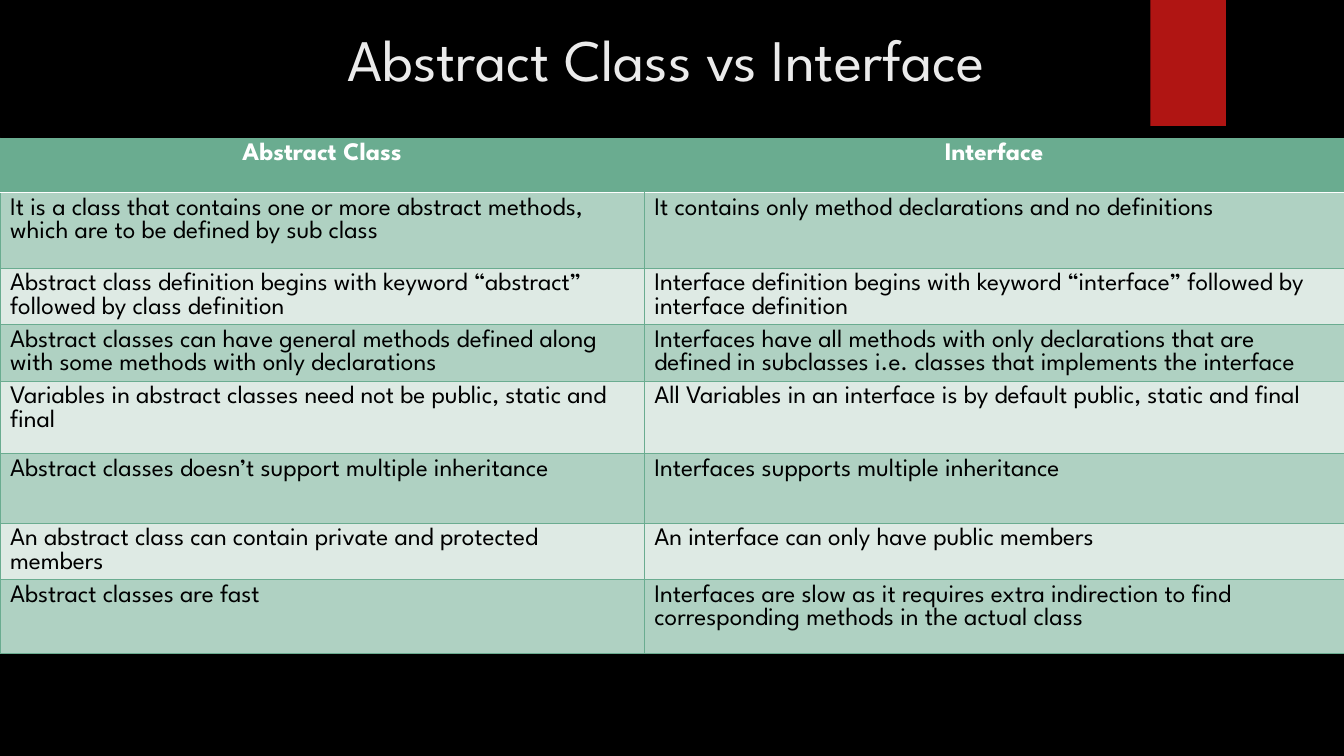
from typing import NamedTuple

from lxml.etree import SubElement
from pptx import Presentation
from pptx.dml.color import RGBColor
from pptx.enum.shapes import MSO_SHAPE
from pptx.enum.text import MSO_ANCHOR, MSO_AUTO_SIZE, PP_ALIGN
from pptx.oxml.ns import qn
from pptx.table import Table, _Cell
from pptx.text.text import _Paragraph
from pptx.util import Inches, Pt

BLACK = RGBColor(0x00, 0x00, 0x00)
WHITE = RGBColor(0xFF, 0xFF, 0xFF)
PALE = RGBColor(0xEB, 0xEB, 0xEB)
RED = RGBColor(0xB0, 0x15, 0x13)
GREEN = RGBColor(0x6A, 0xAC, 0x90)
BANDS = (RGBColor(0xDE, 0xEA, 0xE4), RGBColor(0xAF, 0xD1, 0xC2))
FONT = "League Spartan"


class Row(NamedTuple):
    height: float
    left: str
    right: str


class Edge(NamedTuple):
    side: str
    color: RGBColor | None = GREEN
    width: float = 0.75


ROWS = (
    Row(0.54, "Abstract Class", "Interface"),
    Row(0.75, "It is a class that contains one or more abstract methods, which are to be defined by sub class",
        "It contains only method declarations and no definitions"),
    Row(0.56, "Abstract class definition begins with keyword “abstract” followed by class definition",
        "Interface definition begins with keyword “interface” followed by interface definition"),
    Row(0.56, "Abstract classes can have general methods defined along with some methods with only declarations",
        "Interfaces have all methods with only declarations that are defined in subclasses "
        "i.e. classes that implements the interface"),
    Row(0.72, "Variables in abstract classes need not be public, static and final",
        "All Variables in an interface is by default public, static and final"),
    Row(0.69, "Abstract classes doesn’t support multiple inheritance",
        "Interfaces supports multiple inheritance"),
    Row(0.56, "An abstract class can contain private and protected members",
        "An interface can only have public members"),
    Row(0.73, "Abstract classes are fast",
        "Interfaces are slow as it requires extra indirection to find corresponding methods in the actual class"),
)
WIDTHS = (6.39, 6.94)


def add_run(para: _Paragraph, text: str, size: float, color: RGBColor, bold: bool = False) -> None:
    run = para.add_run()
    run.text = text
    run.font.name = FONT
    run.font.size = Pt(size)
    run.font.bold = bold
    run.font.color.rgb = color


def add_edge(cell: _Cell, edge: Edge) -> None:
    line = SubElement(cell._tc.get_or_add_tcPr(), qn(f"a:ln{edge.side}"), w=str(Pt(edge.width)))
    if edge.color is None:
        SubElement(line, qn("a:noFill"))
    else:
        fill = SubElement(line, qn("a:solidFill"))
        SubElement(fill, qn("a:srgbClr"), val=str(edge.color))


def list_edges(row: int, col: int) -> tuple[Edge, ...]:
    """Give the cell's borders in schema order: left, right, top, bottom."""
    rule = {"color": WHITE, "width": 1.5}
    left, right = Edge("L"), Edge("R")
    if row == 0:
        if col == 0:
            right = Edge("R", None)
        else:
            left = Edge("L", None)
    top = Edge("T", **rule) if row == 1 else Edge("T")
    base = Edge("B", **rule) if row == 0 else Edge("B")
    return left, right, top, base


def fill_table(table: Table) -> None:
    table.horz_banding = False
    for col, width in zip(table.columns, WIDTHS):
        col.width = Inches(width)
    for i, row in enumerate(ROWS):
        head = i == 0
        table.rows[i].height = Inches(row.height)
        for j, text in enumerate((row.left, row.right)):
            cell = table.cell(i, j)
            for edge in list_edges(i, j):
                add_edge(cell, edge)
            cell.fill.solid()
            cell.fill.fore_color.rgb = GREEN if head else BANDS[i % 2]
            para = cell.text_frame.paragraphs[0]
            para.alignment = PP_ALIGN.CENTER if head else PP_ALIGN.LEFT
            add_run(para, text, 18, WHITE if head else BLACK, head)


def main() -> None:
    deck = Presentation()
    deck.slide_width, deck.slide_height = Inches(13.33), Inches(7.5)
    slide = deck.slides.add_slide(deck.slide_layouts[5])
    slide.background.fill.solid()
    slide.background.fill.fore_color.rgb = BLACK

    ribbon = slide.shapes.add_shape(
        MSO_SHAPE.RECTANGLE, Inches(11.41), Inches(0), Inches(0.75), Inches(1.25))
    ribbon.shadow.inherit = False
    ribbon.fill.solid()
    ribbon.fill.fore_color.rgb = RED
    ribbon.line.fill.background()

    height = sum(row.height for row in ROWS)
    frame = slide.shapes.add_table(
        len(ROWS), len(WIDTHS), Inches(0), Inches(1.37), Inches(sum(WIDTHS)), Inches(height))
    fill_table(frame.table)

    title = slide.shapes.title
    title.left, title.top = Inches(0), Inches(0.18)
    title.width, title.height = Inches(13.22), Inches(0.81)
    title.text_frame.auto_size = MSO_AUTO_SIZE.NONE
    title.text_frame.vertical_anchor = MSO_ANCHOR.TOP
    para = title.text_frame.paragraphs[0]
    para.alignment = PP_ALIGN.CENTER
    para.space_before = Pt(10)
    add_run(para, "Abstract Class vs Interface", 42, PALE)

    deck.save("out.pptx")


if __name__ == "__main__":
    main()
